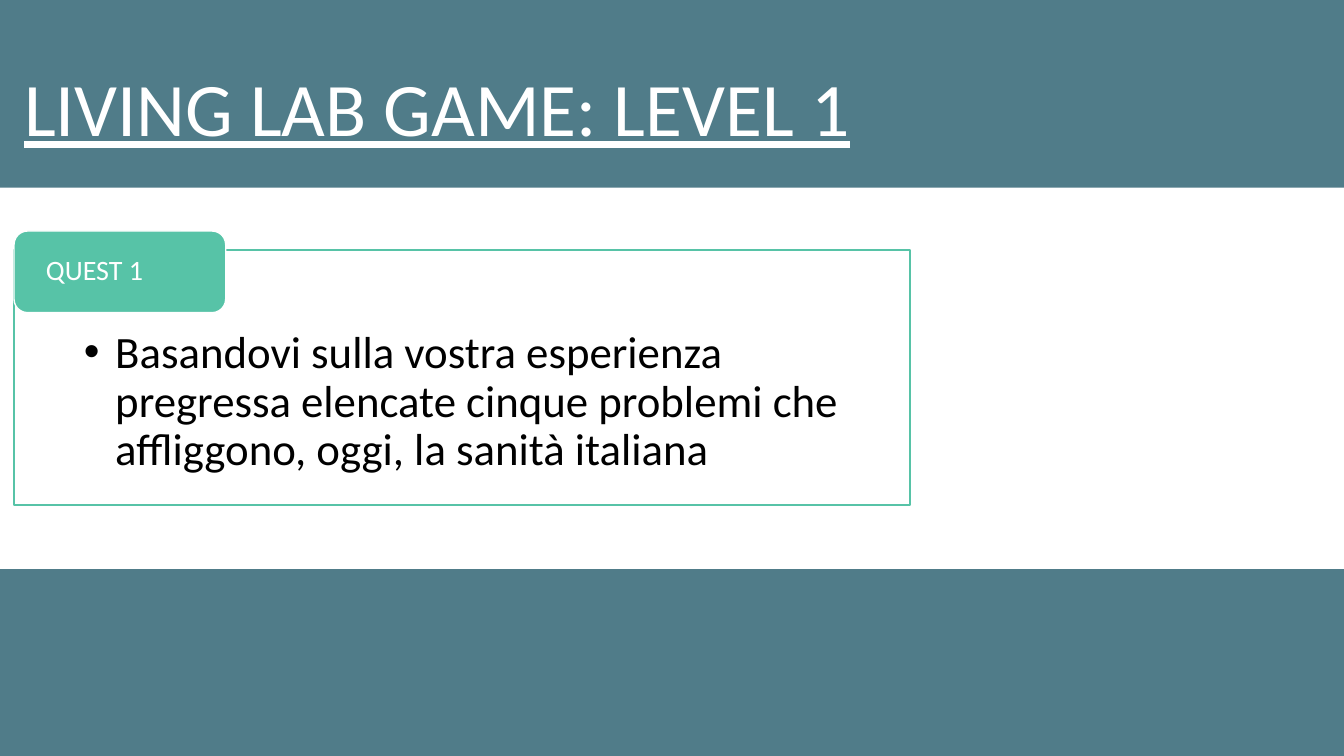
import dataclasses

import lxml.etree
import pptx
import pptx.dml.color
import pptx.enum.shapes
import pptx.enum.text
import pptx.oxml.ns
import pptx.util

COLORS = {"band": "507C89", "quest": "57C3A7", "white": "FFFFFF", "black": "000000"}
FONT = "Calibri"
COLUMNS, ROWS = 96, 54
SLIDE_W, SLIDE_H = pptx.util.Inches(13.33), pptx.util.Inches(7.5)
SHAPE = pptx.enum.shapes.MSO_SHAPE
ANCHOR = pptx.enum.text.MSO_ANCHOR


@dataclasses.dataclass(frozen=True)
class Area:
    col: float
    row: float
    cols: float
    rows: float


@dataclasses.dataclass(frozen=True)
class Label:
    text: str
    size: int
    color: str
    anchor: ANCHOR
    insets: tuple[float, float, float, float]
    spacing: float = 1.0
    underline: bool = False


BANDS = [Area(0, 0, COLUMNS, 13.4), Area(0, 40.65, COLUMNS, 13.35)]
TITLE_AREA = Area(1, 4, 61.13, 7.3)
PANEL_AREA = Area(1, 17.86, 64, 18.22)
BADGE_AREA = Area(1, 16.5, 15.12, 5.83)

TITLE = Label("LIVING LAB GAME: LEVEL 1", 54, "white", ANCHOR.TOP,
              (0.72, 0.36, 0.72, 0.36), underline=True)
TASK = Label("Basandovi sulla vostra esperienza pregressa elencate cinque problemi "
             "che affliggono, oggi, la sanità italiana", 32, "black", ANCHOR.TOP,
             (5, 5.7, 5, 1.8), spacing=0.9)
QUEST = Label("QUEST 1", 20, "white", ANCHOR.MIDDLE, (2, 0, 2, 0), spacing=0.9)


def across(cols: float) -> int:
    return round(SLIDE_W * cols / COLUMNS)


def down(rows: float) -> int:
    return round(SLIDE_H * rows / ROWS)


def rgb(name: str) -> pptx.dml.color.RGBColor:
    return pptx.dml.color.RGBColor.from_string(COLORS[name])


def place(sp, area: Area) -> None:
    sp.left, sp.top = across(area.col), down(area.row)
    sp.width, sp.height = across(area.cols), down(area.rows)


def paint(sp, fill: str, line: str | None = None) -> None:
    sp.fill.solid()
    sp.fill.fore_color.rgb = rgb(fill)
    if line is None:
        sp.line.fill.background()
    else:
        sp.line.color.rgb = rgb(line)
        sp.line.width = pptx.util.Pt(1)


def add_block(s, kind: SHAPE, area: Area, fill: str, line: str | None = None):
    sp = s.shapes.add_shape(kind, across(area.col), down(area.row),
                            across(area.cols), down(area.rows))
    sp.shadow.inherit = False
    paint(sp, fill, line)
    return sp


def add_bullet(p) -> None:
    pPr = p._p.get_or_add_pPr()
    indent = pptx.util.Inches(0.31)
    pPr.set("marL", str(indent))
    pPr.set("indent", str(-indent))
    bullet = lxml.etree.SubElement(pPr, pptx.oxml.ns.qn("a:buChar"))
    bullet.set("char", "•")


def write(sp, label: Label, wrap: bool = True, bullet: bool = False) -> None:
    tf = sp.text_frame
    tf.text = label.text
    tf.auto_size = pptx.enum.text.MSO_AUTO_SIZE.NONE
    tf.word_wrap = wrap
    tf.vertical_anchor = label.anchor
    left, top, right, bottom = label.insets
    tf.margin_left, tf.margin_right = across(left), across(right)
    tf.margin_top, tf.margin_bottom = down(top), down(bottom)
    p = tf.paragraphs[0]
    if bullet:
        add_bullet(p)
    p.alignment = pptx.enum.text.PP_ALIGN.LEFT
    p.line_spacing = label.spacing
    p.space_before = pptx.util.Pt(0)
    r = p.runs[0]
    r.font.name = FONT
    r.font.size = pptx.util.Pt(label.size)
    r.font.color.rgb = rgb(label.color)
    r.font.underline = label.underline


def main() -> None:
    prs = pptx.Presentation()
    prs.slide_width, prs.slide_height = SLIDE_W, SLIDE_H
    s = prs.slides.add_slide(prs.slide_layouts[1])
    title, panel = s.shapes.title, s.placeholders[1]

    for area in BANDS:
        add_block(s, SHAPE.RECTANGLE, area, "band")
    for sp in (title, panel):
        s.shapes.element.append(sp.element)

    place(title, TITLE_AREA)
    write(title, TITLE, wrap=False)

    place(panel, PANEL_AREA)
    paint(panel, "white", "quest")
    write(panel, TASK, bullet=True)

    badge = add_block(s, SHAPE.ROUNDED_RECTANGLE, BADGE_AREA, "quest", "white")
    write(badge, QUEST)

    prs.save("out.pptx")


if __name__ == "__main__":
    main()
